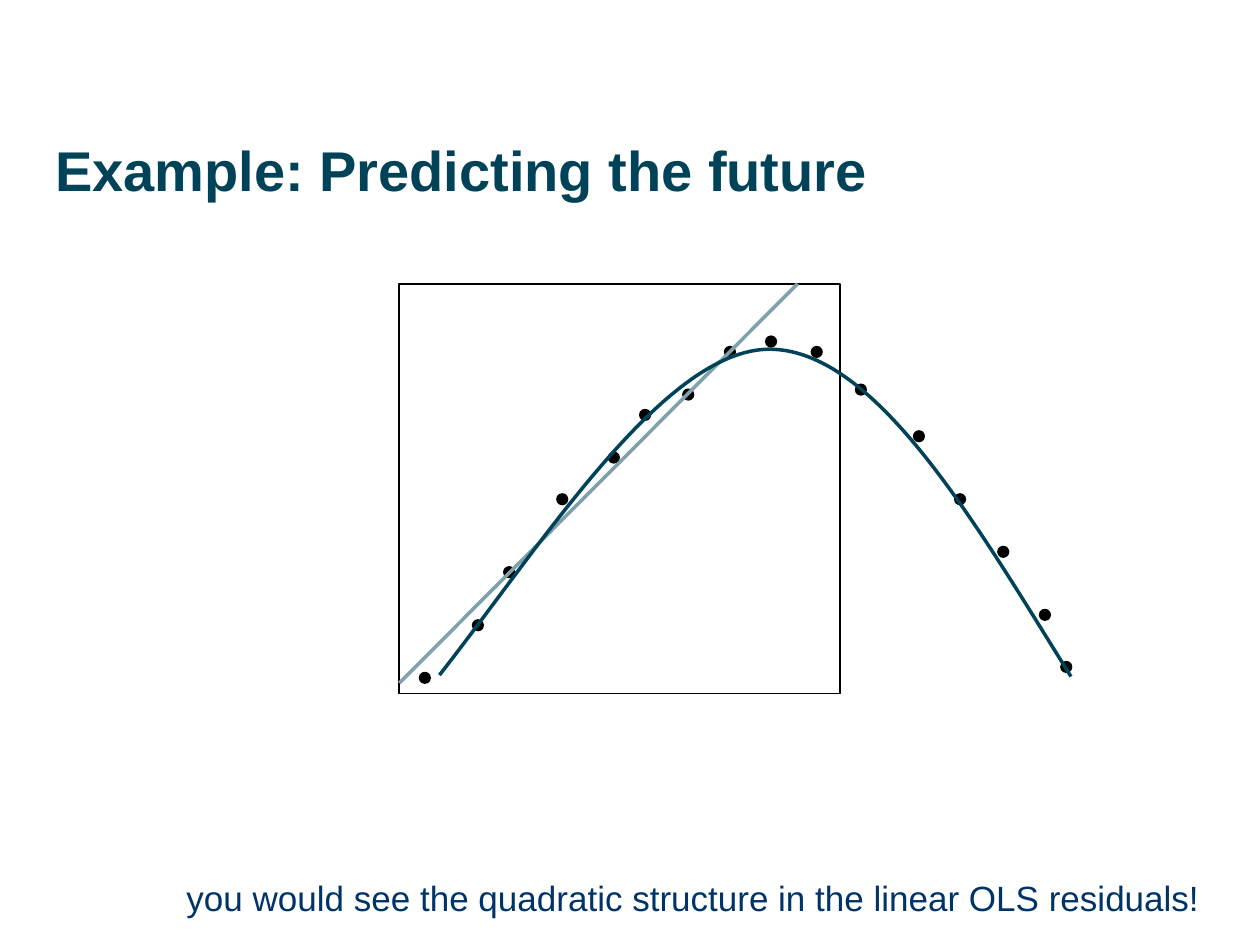
from dataclasses import dataclass

from lxml.etree import SubElement
from pptx import Presentation
from pptx.dml.color import RGBColor
from pptx.enum.shapes import MSO_CONNECTOR, MSO_SHAPE
from pptx.enum.text import MSO_ANCHOR
from pptx.oxml.ns import qn
from pptx.util import Cm, Pt


@dataclass(frozen=True)
class Theme:
    font: str = "Arial"
    heading: RGBColor = RGBColor(0x00, 0x43, 0x59)
    remark: RGBColor = RGBColor(0x00, 0x33, 0x66)
    linear: RGBColor = RGBColor(0x7F, 0xA1, 0xAC)
    ink: RGBColor = RGBColor(0, 0, 0)
    heading_size: int = 32
    remark_size: int = 20
    thin: int = 1
    thick: int = 2
    dot: float = 0.21


def write_text(frame, text, *, font, size, color, bold=False):
    run = frame.paragraphs[0].add_run()
    run.text = text
    run.font.name = font
    run.font.size = Pt(size)
    run.font.color.rgb = color
    run.font.bold = bold


class SlideBuilder:
    """Holds the theme and the current slide; lengths are centimetres."""

    def __init__(self, slide, theme):
        self.slide = slide
        self.theme = theme

    def text(self, text, box, inset=(0.25, 0.13), **style):
        frame = self.slide.shapes.add_textbox(*map(Cm, box)).text_frame
        frame.word_wrap = True
        frame.vertical_anchor = MSO_ANCHOR.TOP
        frame.margin_left = frame.margin_right = Cm(inset[0])
        frame.margin_top = frame.margin_bottom = Cm(inset[1])
        write_text(frame, text, font=self.theme.font, **style)

    def outline(self, shape, color, width):
        shape.line.color.rgb = color
        shape.line.width = Pt(width)

    def frame(self, box):
        frame = self.slide.shapes.add_shape(MSO_SHAPE.RECTANGLE, *map(Cm, box))
        frame.shadow.inherit = False
        frame.fill.background()
        self.outline(frame, self.theme.ink, self.theme.thin)

    def dots(self, corners):
        group = self.slide.shapes.add_group_shape()
        size = Cm(self.theme.dot)
        for left, top in corners:
            dot = group.shapes.add_shape(MSO_SHAPE.OVAL, Cm(left), Cm(top), size, size)
            dot.shadow.inherit = False
            dot.fill.solid()
            dot.fill.fore_color.rgb = self.theme.ink
            self.outline(dot, self.theme.ink, self.theme.thin)

    def line(self, start, end, color):
        line = self.slide.shapes.add_connector(
            MSO_CONNECTOR.STRAIGHT, *map(Cm, start + end))
        self.outline(line, color, self.theme.thick)
        SubElement(line._element.spPr, qn("a:effectLst"))

    def curve(self, points, color):
        """Bezier curve: a start point, then three points per segment."""
        start, *controls = [(Cm(x), Cm(y)) for x, y in points]
        builder = self.slide.shapes.build_freeform(*start)
        builder.add_line_segments(controls, close=False)
        curve = builder.convert_to_shape()
        curve.shadow.inherit = False
        curve.fill.background()
        self.outline(curve, color, self.theme.thick)

        # Merge each three straight segments into one cubic segment
        steps = list(curve._element.iter(qn("a:lnTo")))
        outline = steps[0].getparent()
        for first in range(0, len(steps), 3):
            cubic = SubElement(outline, qn("a:cubicBezTo"))
            for step in steps[first:first + 3]:
                cubic.append(step[0])
                outline.remove(step)


OBSERVED = [(12.9, 8.26), (9.53, 12.5), (12.27, 9.12), (13.77, 7.85),
            (11.23, 9.96), (8.46, 13.56), (10.16, 11.43), (14.61, 6.99)]
FUTURE = [(15.44, 6.78), (16.36, 6.99), (17.25, 7.75), (18.42, 8.69),
          (19.25, 9.96), (20.12, 11.02), (20.96, 12.29), (21.39, 13.34)]
QUADRATIC = [(8.86, 13.61), (11, 10.87), (13.41, 7.04), (15.52, 7.04),
             (17.65, 7.06), (19.63, 10.49), (21.59, 13.64)]


def main():
    theme = Theme()
    deck = Presentation()
    deck.slide_width, deck.slide_height = Cm(25.4), Cm(19.05)
    page = SlideBuilder(deck.slides.add_slide(deck.slide_layouts[6]), theme)

    # Title
    page.text("Example: Predicting the future", (0.91, 2.51, 23.57, 3.61),
              inset=(0.2, 0.23), size=theme.heading_size,
              color=theme.heading, bold=True)

    # Observed window with its linear fit
    page.frame((8.05, 5.72, 8.89, 8.26))
    page.dots(OBSERVED)
    page.line((8.05, 13.77), (16.08, 5.72), theme.linear)

    # Future values and the quadratic fit
    page.dots(FUTURE)
    page.curve(QUADRATIC, theme.heading)

    # Remark
    page.text("you would see the quadratic structure in the linear OLS residuals!",
              (3.51, 17.53, 21.79, 1.4),
              size=theme.remark_size, color=theme.remark)

    deck.save("out.pptx")


if __name__ == "__main__":
    main()
